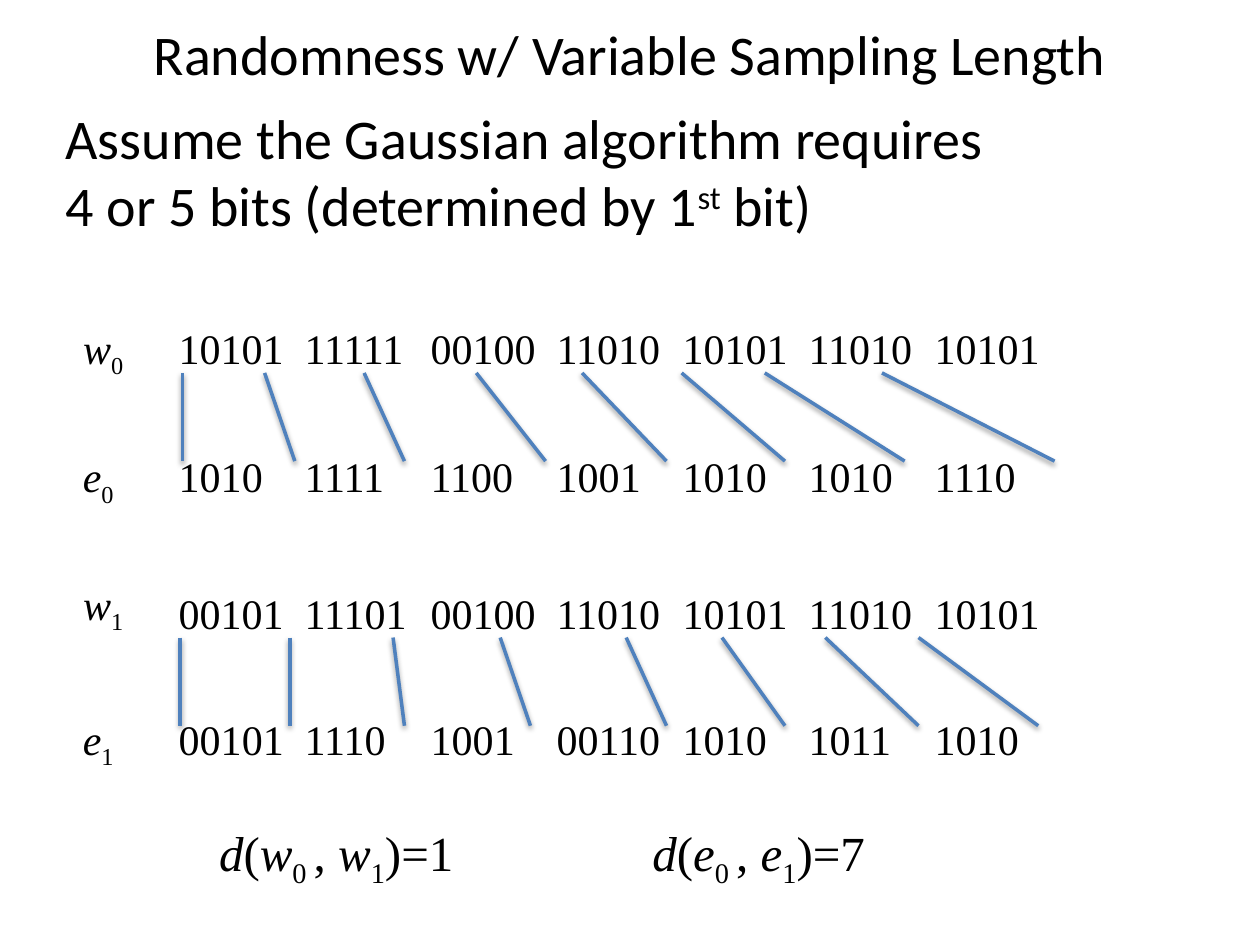
from lxml.etree import SubElement
from pptx import Presentation
from pptx.dml.color import RGBColor
from pptx.enum.shapes import MSO_CONNECTOR
from pptx.enum.text import MSO_ANCHOR, MSO_AUTO_SIZE, PP_ALIGN
from pptx.oxml.ns import qn
from pptx.util import Inches, Pt

COLORS = {"text": "000000", "line": "4F81BD", "shadow": "000000"}
SERIF = "Times New Roman"
BASELINES = {"sub": "-25000", "super": "30000"}


def fill_paragraph(paragraph, runs, font_name, size):
    """Add (text, style) runs; style is "", "italic", "sub" or "super"."""
    paragraph.font.name = font_name
    paragraph.font.size = Pt(size)
    paragraph.font.color.rgb = RGBColor.from_string(COLORS["text"])
    for text, style in runs:
        run = paragraph.add_run()
        run.text = text
        if style == "italic":
            run.font.italic = True
        elif style:
            run.font._element.set("baseline", BASELINES[style])


def add_text(box, runs, size=24, wrap=False, align=PP_ALIGN.LEFT, tab_count=0):
    """Add a serif text box with left tab stops one inch apart."""
    frame = slide.shapes.add_textbox(*map(Inches, box)).text_frame
    frame.word_wrap = wrap
    frame.auto_size = MSO_AUTO_SIZE.SHAPE_TO_FIT_TEXT
    paragraph = frame.paragraphs[0]
    paragraph.alignment = align
    if tab_count:
        tab_list = SubElement(paragraph._p.get_or_add_pPr(), qn("a:tabLst"))
        for number in range(1, tab_count + 1):
            SubElement(tab_list, qn("a:tab"), pos=str(Inches(number)), algn="l")
    fill_paragraph(paragraph, runs, SERIF, size)


presentation = Presentation()
presentation.slide_width = Inches(10)
presentation.slide_height = Inches(7.5)
slide = presentation.slides.add_slide(presentation.slide_layouts[1])

# Title and assumption
title = slide.shapes.title
body = slide.placeholders[1]
for placeholder, box in ((title, (0.5, -0.2, 9, 1.25)), (body, (0.42, 0.77, 9.08, 1.34))):
    placeholder.left, placeholder.top, placeholder.width, placeholder.height = map(Inches, box)
    placeholder.text_frame.auto_size = MSO_AUTO_SIZE.NONE

title.text_frame.vertical_anchor = MSO_ANCHOR.MIDDLE
title_paragraph = title.text_frame.paragraphs[0]
title_paragraph.alignment = PP_ALIGN.CENTER
fill_paragraph(title_paragraph, [("Randomness w/ Variable Sampling Length", "")], "Calibri", 32)

body_paragraph = body.text_frame.paragraphs[0]
properties = body_paragraph._p.get_or_add_pPr()
properties.set("marL", "0")
properties.set("indent", "0")
SubElement(properties, qn("a:buNone"))
body_paragraph.add_run().text = "Assume the Gaussian algorithm requires "
body_paragraph.add_line_break()
fill_paragraph(
    body_paragraph,
    [("4 or 5 bits (determined by 1", ""), ("st", "super"), (" bit)", "")],
    "Calibri", 32,
)

# Bit sequences: symbol, index, label top, bits top, label width, bits width, bits
SEQUENCES = [
    ("w", "0", 2.51, 2.51, 0.58, 7.67, "10101 11111 00100 11010 10101 11010 10101"),
    ("e", "0", 3.53, 3.53, 0.5, 8.41, "1010 1111 1100 1001 1010 1010 1110"),
    ("w", "1", 4.54, 4.61, 0.58, 7.67, "00101 11101 00100 11010 10101 11010 10101"),
    ("e", "1", 5.61, 5.61, 0.5, 8.41, "00101 1110 1001 00110 1010 1011 1010"),
]
for symbol, index, label_top, bits_top, label_width, bits_width, bits in SEQUENCES:
    add_text((0.53, label_top, label_width, 0.5), [(symbol, "italic"), (index, "sub")],
             align=PP_ALIGN.CENTER)
    add_text((1.32, bits_top, bits_width, 0.5), [("\t".join(bits.split()), "")],
             wrap=True, tab_count=7)

# Sample boundaries: top of the lines, then x at the w row and x at the e row
BOUNDARIES = {
    2.96: [(1.45, 1.45), (2.1, 2.34), (2.89, 3.21), (3.78, 4.33),
           (4.62, 5.29), (5.41, 6.23), (6.07, 7.18), (7, 8.37)],
    5.06: [(1.43, 1.43), (2.3, 2.3), (3.12, 3.21), (3.97, 4.21),
           (4.97, 5.29), (5.73, 6.23), (6.55, 7.29), (7.29, 8.24)],
}
for top, ends in BOUNDARIES.items():
    for start_x, end_x in ends:
        line = slide.shapes.add_connector(
            MSO_CONNECTOR.STRAIGHT,
            Inches(start_x), Inches(top), Inches(end_x), Inches(top + 0.7),
        )
        line.line.color.rgb = RGBColor.from_string(COLORS["line"])
        line.line.width = Pt(2)
        effects = SubElement(line._element.spPr, qn("a:effectLst"))
        shadow = SubElement(effects, qn("a:outerShdw"), blurRad=str(Pt(3.1)),
                            dist=str(Pt(1.6)), dir="5400000", rotWithShape="0")
        shadow_color = SubElement(shadow, qn("a:srgbClr"), val=COLORS["shadow"])
        SubElement(shadow_color, qn("a:alpha"), val="38000")

# Distances
for symbol, distance, left, width in (("w", 1, 1.64, 2.21), ("e", 7, 5.08, 2.03)):
    add_text(
        (left, 6.48, width, 0.57),
        [("d", "italic"), ("(", ""), (symbol, "italic"), ("0 ", "sub"), (", ", ""),
         (symbol, "italic"), ("1", "sub"), (f")={distance}", "")],
        size=28,
    )

presentation.save("out.pptx")
